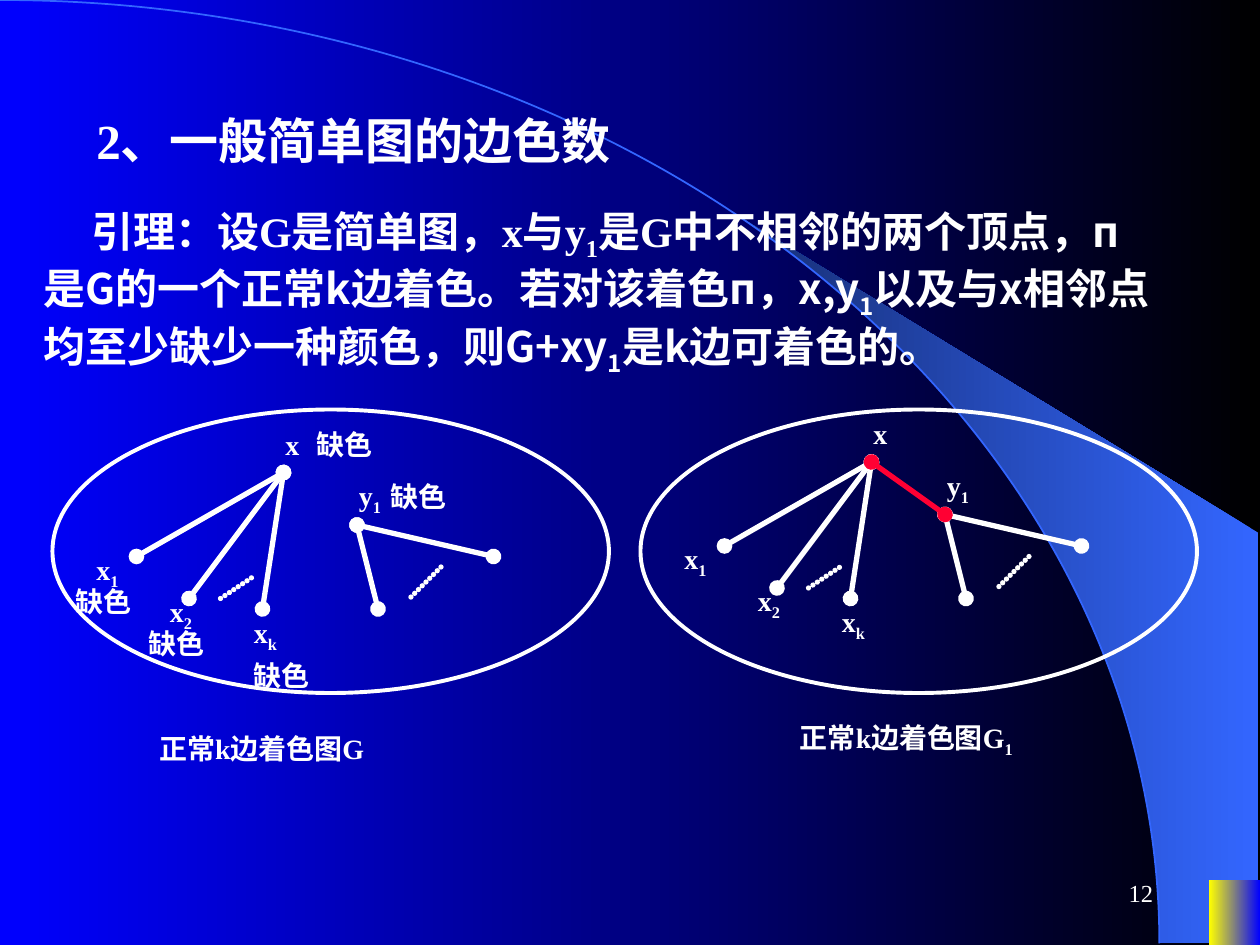
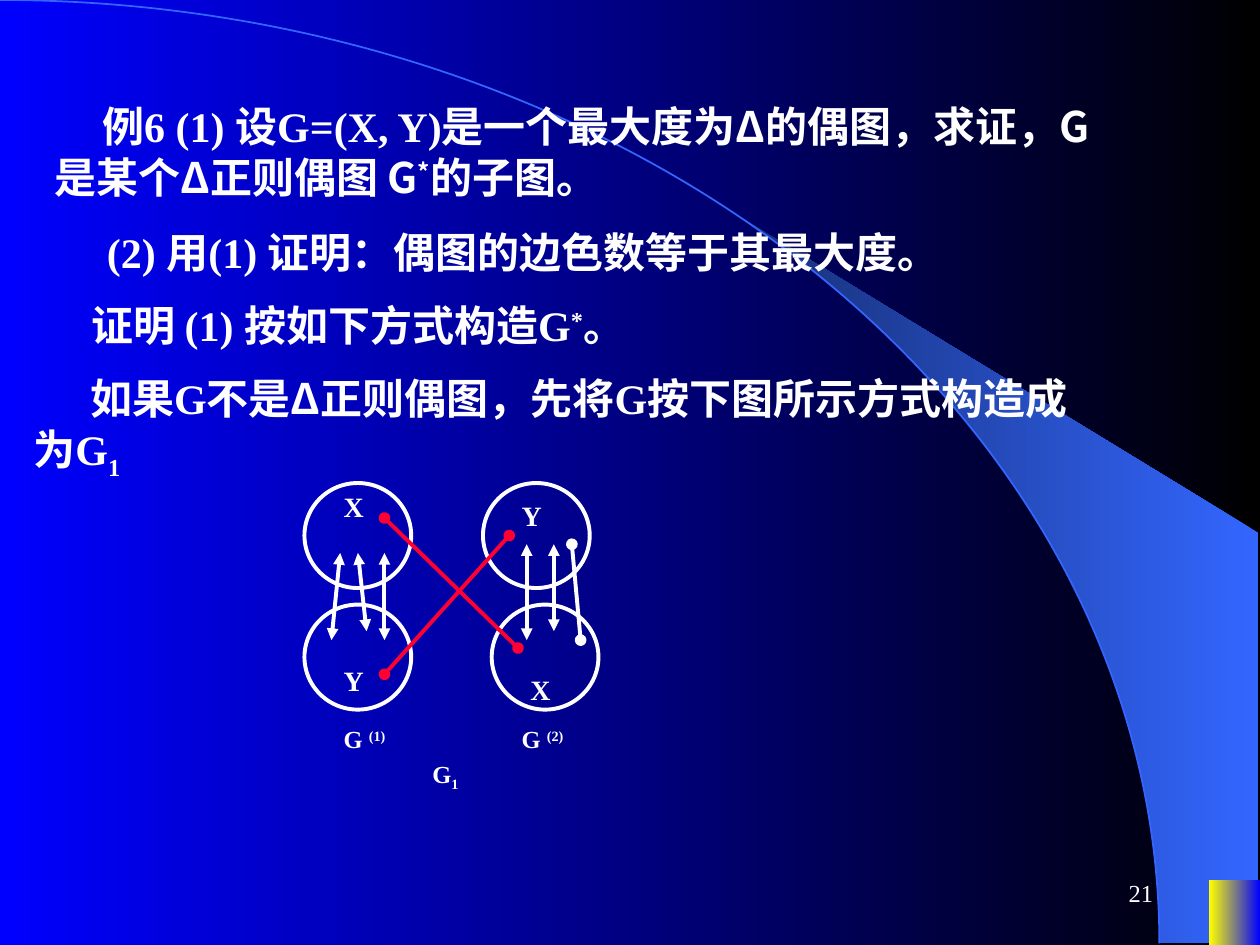
from dataclasses import dataclass
from math import asin, cos, pi, sin

from lxml.etree import SubElement
from pptx import Presentation
from pptx.dml.color import RGBColor as RGB
from pptx.enum.shapes import MSO_CONNECTOR as CONN, MSO_SHAPE as SHAPE
from pptx.enum.text import MSO_ANCHOR as ANCHOR, PP_ALIGN as ALIGN
from pptx.oxml.ns import qn
from pptx.util import Pt


@dataclass(frozen=True)
class Theme:
    white: str = "FFFFFF"
    red: str = "FF0033"
    black: str = "000000"
    blue: str = "0000FF"
    arc: str = "3366FF"
    wing: str = "172F75"
    yellow: str = "FFFF00"
    serif: str = "Times New Roman"
    sans: str = "Noto Sans CJK SC"
    title: int = 28
    body: int = 24
    label: int = 16
    small: int = 14
    leading: float = 1.23
    sub_leading: float = 0.14


THEME = Theme()
WIDTH, HEIGHT = 720, 540
ARC_W, ARC_H = 662.5, 539


def run(text, base=0, font=THEME.serif):
    return text, base, font


def sub(text, font=THEME.serif):
    return run(text, -25, font)


def sup(text, font=THEME.serif):
    return run(text, 30, font)


def sans(text):
    return run(text, font=THEME.sans)


def arc_points(start):
    steps = 48
    angles = [start + (pi / 2 - start) * i / steps for i in range(steps + 1)]
    return [(ARC_W * sin(a), ARC_H * (1 - cos(a))) for a in angles]


class Deck:
    def __init__(self, theme):
        self.theme = theme
        self.prs = Presentation()
        self.prs.slide_width, self.prs.slide_height = Pt(WIDTH), Pt(HEIGHT)
        self.slide = None

    def new_slide(self, number):
        t = self.theme
        self.slide = self.prs.slides.add_slide(self.prs.slide_layouts[6])
        self.gradient(self.slide.background.fill, t.black, t.blue)
        wing = arc_points(asin(424 / ARC_W)) + [(719, 539), (719, 304.5)]
        self.gradient(self.freeform(wing).fill, t.arc, t.wing)
        arc = self.shape(SHAPE.ARC, -ARC_W, 0, 2 * ARC_W, 2 * ARC_H)
        arc.fill.background()
        self.outline(arc.line, t.arc, 1)
        corner = self.shape(SHAPE.RECTANGLE, 691, 503, 29, 37)
        self.gradient(corner.fill, t.blue, t.yellow)
        self.text([run(str(number))], 516, 492, 150, 36, t.small,
                  bold=False, align=ALIGN.RIGHT, anchor=ANCHOR.MIDDLE)

    def gradient(self, fill, first, last):
        fill.gradient()
        fill.gradient_angle = 180
        for stop, color in zip(fill.gradient_stops, (first, last)):
            stop.color.rgb = RGB.from_string(color)

    def outline(self, line, color, width):
        line.color.rgb = RGB.from_string(color)
        line.width = Pt(width)

    def freeform(self, points):
        pts = [(Pt(x), Pt(y)) for x, y in points]
        builder = self.slide.shapes.build_freeform(*pts[0])
        builder.add_line_segments(pts[1:])
        sp = builder.convert_to_shape()
        sp.shadow.inherit = False
        sp.line.fill.background()
        return sp

    def shape(self, kind, *box):
        sp = self.slide.shapes.add_shape(kind, *map(Pt, box))
        sp.shadow.inherit = False
        sp.line.fill.background()
        return sp

    def ring(self, *box):
        sp = self.shape(SHAPE.OVAL, *box)
        sp.fill.background()
        self.outline(sp.line, self.theme.white, 2.25)

    def line(self, start, end, width, ends=None, color=THEME.white):
        cx = self.slide.shapes.add_connector(CONN.STRAIGHT, *map(Pt, (*start, *end)))
        self.outline(cx.line, color, width)
        ln = cx.line._get_or_add_ln()
        if ends:
            for tag in ("a:headEnd", "a:tailEnd"):
                SubElement(ln, qn(tag), type=ends)
        else:
            ln.set("cap", "rnd")
            dash = SubElement(ln, qn("a:custDash"))
            SubElement(dash, qn("a:ds"), d="100000", sp="1000")
        SubElement(cx._element.spPr, qn("a:effectLst"))

    def text(self, runs, x, y, w, h, size, indent=0, bold=True,
             align=ALIGN.LEFT, anchor=ANCHOR.TOP):
        t = self.theme
        tf = self.slide.shapes.add_textbox(*map(Pt, (x, y, w, h))).text_frame
        tf.word_wrap, tf.vertical_anchor = True, anchor
        p = tf.paragraphs[0]
        has_sub = any(base < 0 for _, base, _ in runs)
        ratio = t.leading + (t.sub_leading if has_sub else 0)
        p.alignment, p.line_spacing = align, Pt(ratio * size)
        ppr = p._p.get_or_add_pPr()
        ppr.set("hangingPunct", "0")
        ppr.set("indent", str(Pt(indent)))
        for content, base, font in runs:
            r = p.add_run()
            r.text = content
            for name, value in {"name": font, "size": Pt(size), "bold": bold}.items():
                setattr(r.font, name, value)
            r.font.color.rgb = RGB.from_string(t.white)
            rpr = r._r.get_or_add_rPr()
            SubElement(rpr, qn("a:ea"), typeface=t.sans)
            if base:
                rpr.set("baseline", str(base * 1000))

    def body(self, runs, x, y, w, h, indent, size=THEME.body):
        self.text(runs, x, y - 1, w, h, size, indent)

    def label(self, runs, x, y, w=36, h=27, size=THEME.label):
        self.text(runs, x, y, w, h, size)


VERTICES = {"x": (162, 270), "x1": (78, 318), "x2": (108, 342), "xk": (150, 348),
            "y1": (204, 300), "left": (216, 348), "right": (282, 318)}
EDGES = [("x", "x1"), ("x", "x2"), ("y1", "right"), ("y1", "left"), ("x", "xk")]
OMITTED_EDGES = [((126, 342), (144, 330)), ((252, 324), (234, 342))]
VERTEX_LABELS = [([run("x"), sub("1")], 48, 312), ([run("y"), sub("1")], 198, 270),
                 ([run("x")], 156, 240), ([run("x"), sub("2")], 90, 336),
                 ([run("x"), sub("k")], 138, 348)]
MISSING_COLOR = [(174, 240), (216, 270), (36, 330), (78, 354), (138, 372)]


def draw_graph(deck, dx, dy):
    def at(point):
        return point[0] + dx, point[1] + dy

    deck.ring(30 + dx, 234, 318, 162)
    for a, b in EDGES:
        deck.line(at(VERTICES[a]), at(VERTICES[b]), 3, "oval")
    for a, b in OMITTED_EDGES:
        deck.line(at(a), at(b), 3)
    for runs, x, y in VERTEX_LABELS:
        deck.label(runs, *at((x, y)))
    return at


def lemma_slide(deck):
    deck.new_slide(12)
    deck.body([run("2、一般简单图的边色数")], 18, 60, 612, 41, 30, THEME.title)
    deck.body([run("引理：设G是简单图，x与y"), sub("1"), run("是G中不相邻的两个顶点，"),
               sans("п是G的一个正常k边着色。若对该着色п，x,y"), sub("1", THEME.sans),
               sans("以及与x相邻点均至少缺少一种颜色，则G+xy"), sub("1", THEME.sans),
               sans("是k边可着色的。")], 18, 114.5, 648, 106, 27)
    draw_graph(deck, 0, 0)
    for x, y in MISSING_COLOR:
        deck.label([run("缺色")], x, y, 48)
    at = draw_graph(deck, 336, -6)
    deck.line(at(VERTICES["x"]), at(VERTICES["y1"]), 3, "oval", THEME.red)
    caption = run("正常k边着色图G")
    deck.label([caption], 84, 414, 168)
    deck.label([caption, sub("1")], 450, 408, 168)


def bipartite_slide(deck):
    deck.new_slide(21)
    deck.body([run("例6 (1) 设G=(X, Y)是一个最大度为"),
               sans("Δ的偶图，求证，G是某个Δ正则偶图 G"), sup("*", THEME.sans),
               sans("的子图。")], 24, 54, 624, 65, 27.3)
    deck.body([run("(2) 用(1) 证明：偶图的边色数等于其最大度。")], 18, 126, 606, 36, 36)
    deck.body([run("证明 (1) 按如下方式构造G"), sup("*"), run("。")], 18, 168, 624, 36, 27)
    deck.body([run("如果G不是"), sans("Δ"), run("正则偶图，先将G按下图所示方式构造成为G"),
               sub("1")], 12, 206.5, 606, 69, 32.5)

    for x, y in [(174, 276), (281, 345.5), (174, 345.5), (276, 276)]:
        deck.ring(x, y, 61, 60)
    for name, x, y in [("X", 296, 380), ("X", 189.3, 275.5),
                       ("Y", 189.3, 375), ("Y", 291, 281)]:
        deck.label([run(name)], x, y)

    arrows = [((194.4, 316), (189.4, 365.8)), ((204.5, 316), (209.5, 360.7)),
              ((219.7, 316), (219.7, 365.8)), ((301, 311), (301, 365.8)),
              ((316.5, 311), (316.5, 360.7))]
    for start, end in arrows:
        deck.line(start, end, 2.25, "triangle")
    deck.line((326.8, 311), (331.8, 365.8), 2.25, "oval")
    for start, end in [((219.7, 296), (296, 370.3)), ((291, 306), (219.7, 385.3))]:
        deck.line(start, end, 2.25, "oval", THEME.red)

    for runs, x, y in [([run("G "), sup("(1)")], 189.3, 410),
                       ([run("G "), sup("(2)")], 291, 410),
                       ([run("G"), sub("1")], 240, 430)]:
        deck.label(runs, x, y, 44, size=THEME.small)


def main():
    deck = Deck(THEME)
    lemma_slide(deck)
    bipartite_slide(deck)
    deck.prs.save("out.pptx")


if __name__ == "__main__":
    main()
